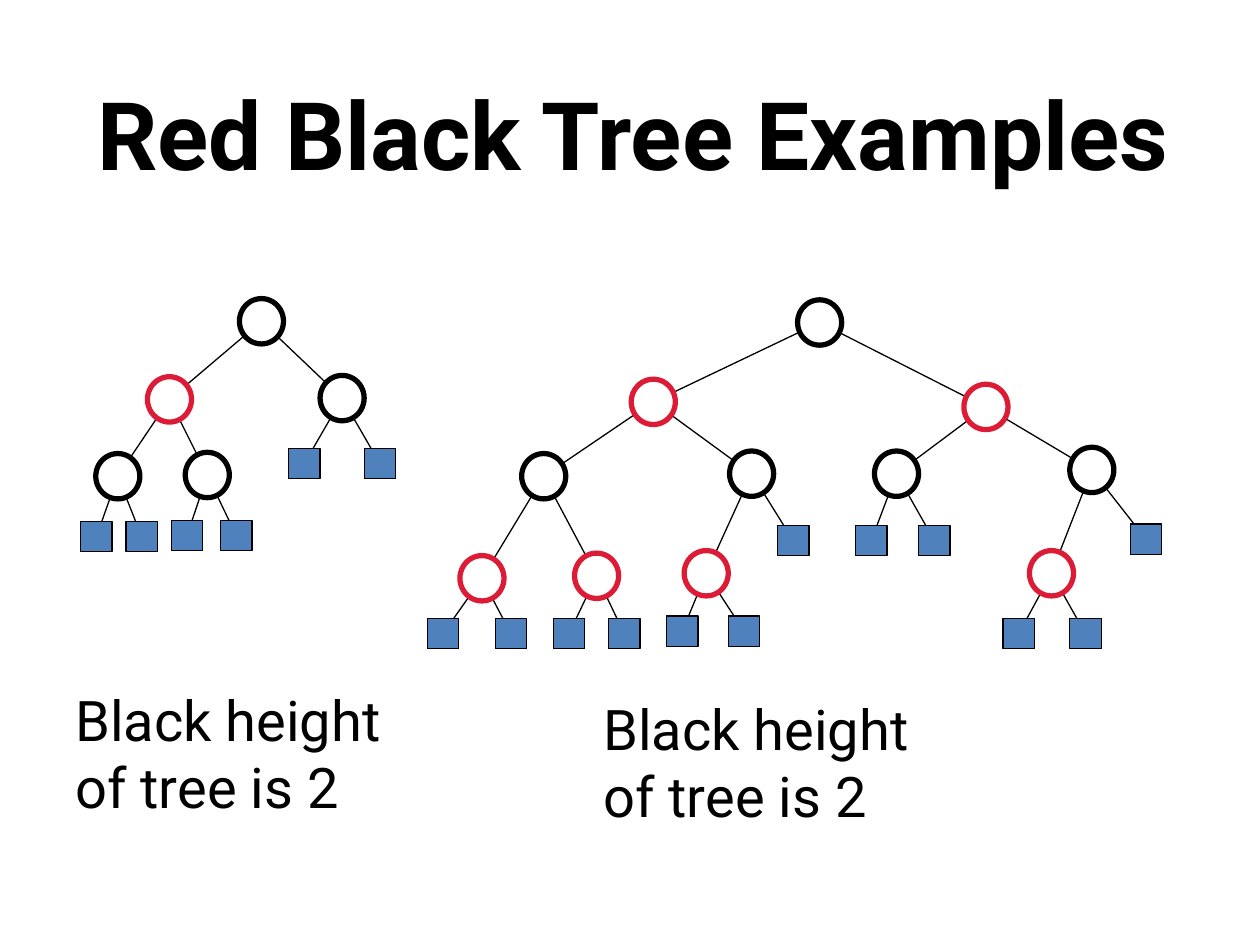
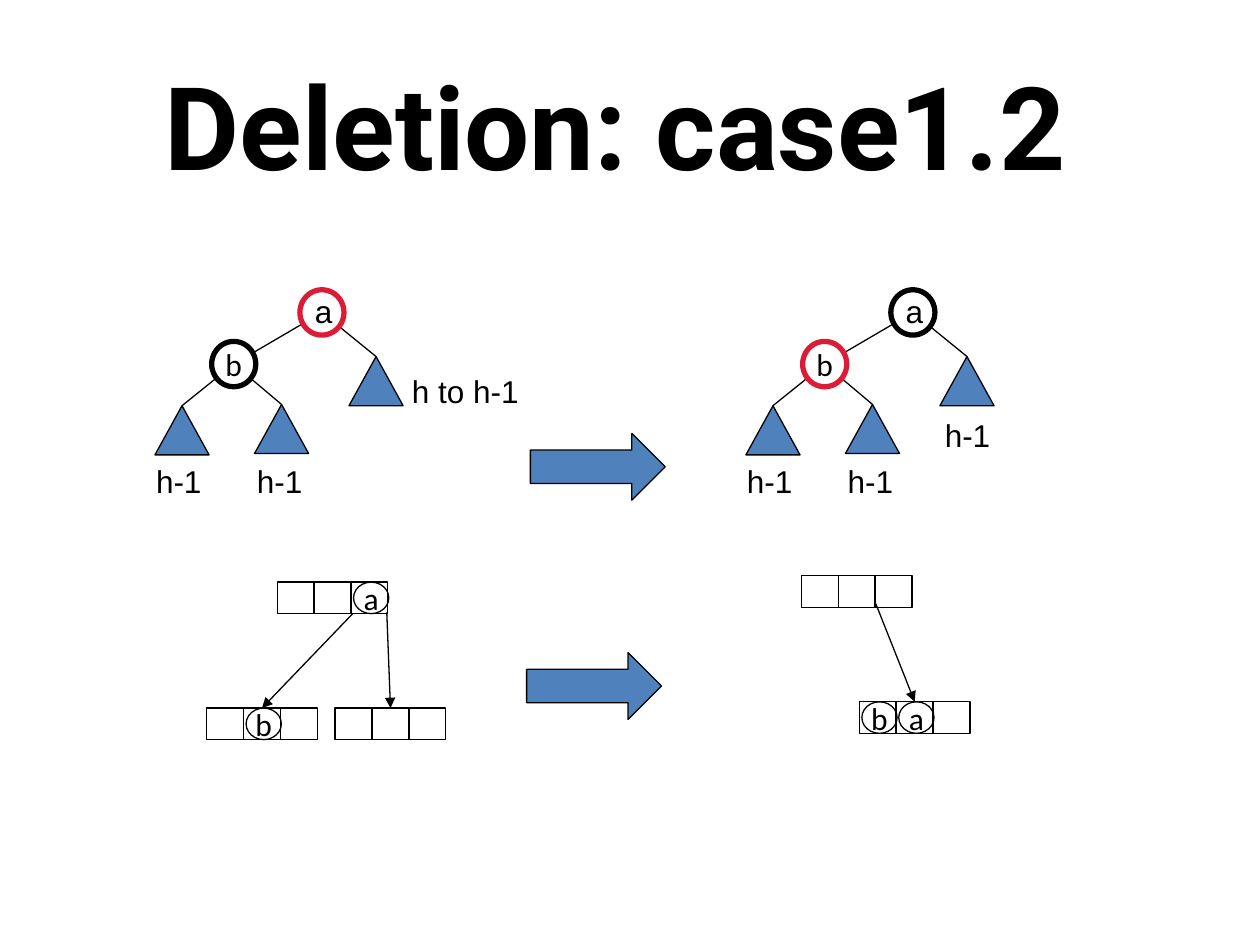
from dataclasses import dataclass
from typing import Any, NamedTuple, Optional

from pptx import Presentation
from pptx.dml.color import RGBColor
from pptx.enum.shapes import MSO_CONNECTOR, MSO_SHAPE
from pptx.enum.text import MSO_ANCHOR, MSO_AUTO_SIZE as AUTO_SIZE, PP_ALIGN
from pptx.oxml.ns import qn
from pptx.oxml.xmlchemy import OxmlElement
from pptx.util import Inches, Pt

BLACK = RGBColor(0x00, 0x00, 0x00)
WHITE = RGBColor(0xFF, 0xFF, 0xFF)
RED = RGBColor(0xDC, 0x1C, 0x36)
BLUE = RGBColor(0x4F, 0x81, 0xBD)

WIDTH, HEIGHT = Inches(10), Inches(7.5)
COLUMN, ROW = WIDTH / 100, HEIGHT / 75
THIN, THICK = Pt(0.75), Pt(3)

HEADING = {"name": "Roboto", "bold": True}
REMARK = {"name": "Roboto", "size": Pt(32)}
SUBTREE_HEIGHT = {"name": "Arial", "size": Pt(18)}
KEY = {"name": "Calibri", "size": Pt(18)}

CELL_STEP = 2.93
KEY_INDENT = 1.6


class Mark(NamedTuple):
    preset: Any
    width: float
    height: float
    fill: Optional[RGBColor]
    outline: RGBColor = BLACK
    weight: int = THIN
    anchor: float = 0.5


BLACK_NODE = Mark(MSO_SHAPE.OVAL, 3.5, 3.6, WHITE, BLACK, THICK)
RED_NODE = BLACK_NODE._replace(outline=RED)
EXTERNAL = Mark(MSO_SHAPE.RECTANGLE, 2.5, 2.4, BLUE)
SUBTREE = Mark(MSO_SHAPE.FLOWCHART_EXTRACT, 4.3, 3.9, BLUE, anchor=0)
STEP_ARROW = Mark(MSO_SHAPE.RIGHT_ARROW, 10.7, 5.3, BLUE)
CELL = Mark(MSO_SHAPE.RECTANGLE, CELL_STEP, 2.5, None, anchor=0)
CELL_KEY = Mark(MSO_SHAPE.OVAL, 2.8, 2.5, None, anchor=0)


@dataclass
class Node:
    x: float
    y: float
    mark: Mark
    children: tuple["Node", ...] = ()
    key: str = ""


class Caption(NamedTuple):
    text: str
    x: float
    y: float
    width: float
    height: float = 4
    wrap: bool = False


def across(columns: float) -> int:
    return round(columns * COLUMN)


def down(rows: float) -> int:
    return round(rows * ROW)


def apply(target: Any, values: dict[str, Any]) -> None:
    for name, value in values.items():
        setattr(target, name, value)


def write(frame: Any, text: str, style: dict[str, Any], align: Any) -> None:
    paragraph = frame.paragraphs[0]
    paragraph.alignment = align
    run = paragraph.add_run()
    run.text = text
    apply(run.font, style)
    run.font.color.rgb = BLACK


def draw_mark(shapes: Any, mark: Mark, x: float, y: float, key: str = "") -> Any:
    shape = shapes.add_shape(
        mark.preset, across(x - mark.width / 2), down(y - mark.height * mark.anchor),
        across(mark.width), down(mark.height))
    shape.shadow.inherit = False
    if mark.fill is None:
        shape.fill.background()
    else:
        shape.fill.solid()
        shape.fill.fore_color.rgb = mark.fill
    shape.line.color.rgb = mark.outline
    shape.line.width = mark.weight
    if key:
        apply(shape.text_frame, {"word_wrap": False, "vertical_anchor": MSO_ANCHOR.MIDDLE})
        write(shape.text_frame, key, KEY, PP_ALIGN.CENTER)
    return shape


def draw_line(slide: Any, start: tuple[float, float], end: tuple[float, float],
              target: Any = None) -> None:
    line = slide.shapes.add_connector(
        MSO_CONNECTOR.STRAIGHT, across(start[0]), down(start[1]), across(end[0]), down(end[1]))
    line.line.color.rgb = BLACK
    line.line.width = THIN
    properties = line.element.spPr
    if target is not None:
        line.end_connect(target, 0)
        head = OxmlElement("a:tailEnd")
        head.set("type", "triangle")
        properties.find(qn("a:ln")).append(head)
    properties.append(OxmlElement("a:effectLst"))


def draw_edges(slide: Any, node: Node) -> None:
    for child in node.children:
        draw_line(slide, (node.x, node.y), (child.x, child.y))
        draw_edges(slide, child)


def draw_nodes(slide: Any, node: Node) -> None:
    draw_mark(slide.shapes, node.mark, node.x, node.y, node.key)
    for child in node.children:
        draw_nodes(slide, child)


def draw_tree(slide: Any, root: Node) -> None:
    draw_edges(slide, root)
    draw_nodes(slide, root)


def draw_caption(slide: Any, caption: Caption, style: dict[str, Any]) -> None:
    box = slide.shapes.add_textbox(
        across(caption.x), down(caption.y), across(caption.width), down(caption.height))
    apply(box.text_frame, {"word_wrap": caption.wrap, "auto_size": AUTO_SIZE.SHAPE_TO_FIT_TEXT})
    write(box.text_frame, caption.text, style, PP_ALIGN.LEFT)


def draw_cells(slide: Any, left: float, top: float, keys: str) -> list[Any]:
    group = slide.shapes.add_group_shape()
    cells = [draw_mark(group.shapes, CELL, left + (i + 0.5) * CELL_STEP, top)
             for i in range(len(keys))]
    for i, key in enumerate(keys):
        if key != "-":
            draw_mark(slide.shapes, CELL_KEY, left + i * CELL_STEP + KEY_INDENT, top, key)
    return cells


def draw_pointer(slide: Any, x: float, y: float, cell: Any) -> None:
    draw_line(slide, (x, y), (x, y), cell)


def add_titled_slide(deck: Any, title: str, size: int, x: float, y: float, width: float) -> Any:
    slide = deck.slides.add_slide(deck.slide_layouts[5])
    heading = slide.shapes.title
    apply(heading, {"left": across(x), "top": down(y),
                    "width": across(width), "height": down(12.5)})
    apply(heading.text_frame, {"word_wrap": True, "auto_size": AUTO_SIZE.NONE,
                               "vertical_anchor": MSO_ANCHOR.MIDDLE})
    write(heading.text_frame, title, {**HEADING, "size": Pt(size)}, PP_ALIGN.CENTER)
    return slide


def externals(y: float, *columns: float) -> tuple[Node, ...]:
    return tuple(Node(x, y, EXTERNAL) for x in columns)


def black(x: float, y: float, *children: Node) -> Node:
    return Node(x, y, BLACK_NODE, children)


def red(x: float, y: float, *children: Node) -> Node:
    return Node(x, y, RED_NODE, children)


def build_examples(deck: Any) -> None:
    slide = add_titled_slide(deck, "Red Black Tree Examples", 54, 3.1, 4.3, 94.3)
    small_tree = black(
        20.75, 25.5,
        red(13.45, 31.7,
            black(9.35, 37.8, *externals(42.6, 7.65, 11.25)),
            black(16.45, 37.7, *externals(42.5, 14.85, 18.75))),
        black(27.15, 31.6, *externals(36.8, 24.15, 30.15)))
    large_tree = black(
        65.05, 25.6,
        red(51.85, 31.9,
            black(43.15, 37.8,
                  red(38.25, 45.9, *externals(50.3, 35.15, 40.55)),
                  red(47.35, 45.7, *externals(50.3, 45.15, 49.55))),
            black(59.65, 37.6,
                  red(56.05, 45.5, *externals(50.1, 54.15, 59.05)),
                  *externals(42.9, 62.95))),
        red(78.25, 32.3,
            black(71.15, 37.6, *externals(42.9, 69.15, 74.15)),
            black(86.65, 37.3,
                  red(83.45, 45.5, *externals(50.3, 80.85, 86.15)),
                  *externals(42.8, 90.95))))
    for tree in (small_tree, large_tree):
        draw_tree(slide, tree)
    for x, y in ((5, 53.9), (46.9, 54.6)):
        draw_caption(slide, Caption("Black height of tree is 2", x, y, 28, 11.8, True), REMARK)


def draw_deletion_tree(slide: Any, shift: float, root: Mark, child: Mark,
                       right_height: Caption) -> None:
    lower = tuple(Node(x + shift, y, SUBTREE) for x, y in ((14.45, 32.2), (22.35, 32.1)))
    b = Node(18.55 + shift, 28.9, child, lower, "b")
    right = Node(29.85 + shift, 28.3, SUBTREE)
    draw_tree(slide, Node(25.55 + shift, 24.8, root, (b, right)))
    captions = (Caption("a", 24 + shift, 22.7, 3.4),
                Caption("h-1", 11.4 + shift, 36.2, 5.6),
                Caption("h-1", 19.4 + shift, 36.2, 5.6),
                right_height)
    for caption in captions:
        draw_caption(slide, caption, SUBTREE_HEIGHT)


def build_deletion(deck: Any) -> None:
    slide = add_titled_slide(deck, "Deletion: case1.2 ", 66, 5, 3.6, 90)
    draw_deletion_tree(slide, 0, RED_NODE, BLACK_NODE, Caption("h to h-1", 31.7, 29, 10.5))
    draw_deletion_tree(slide, 46.9, BLACK_NODE, RED_NODE, Caption("h-1", 74, 32.5, 5.6))

    draw_cells(slide, 22, 46.2, "--a")
    left_child = draw_cells(slide, 16.4, 56.2, "-b-")
    right_child = draw_cells(slide, 26.6, 56.2, "---")
    draw_pointer(slide, 28, 48.7, left_child[1])
    draw_pointer(slide, 30.7, 48.6, right_child[1])

    draw_cells(slide, 63.6, 45.7, "---")
    merged = draw_cells(slide, 68.2, 55.7, "ba-")
    draw_pointer(slide, 69.5, 47.9, merged[1])

    for x, y in ((47.45, 37.05), (47.15, 54.45)):
        draw_mark(slide.shapes, STEP_ARROW, x, y)


def main() -> None:
    deck = Presentation()
    apply(deck, {"slide_width": WIDTH, "slide_height": HEIGHT})
    build_examples(deck)
    build_deletion(deck)
    deck.save("out.pptx")


if __name__ == "__main__":
    main()
